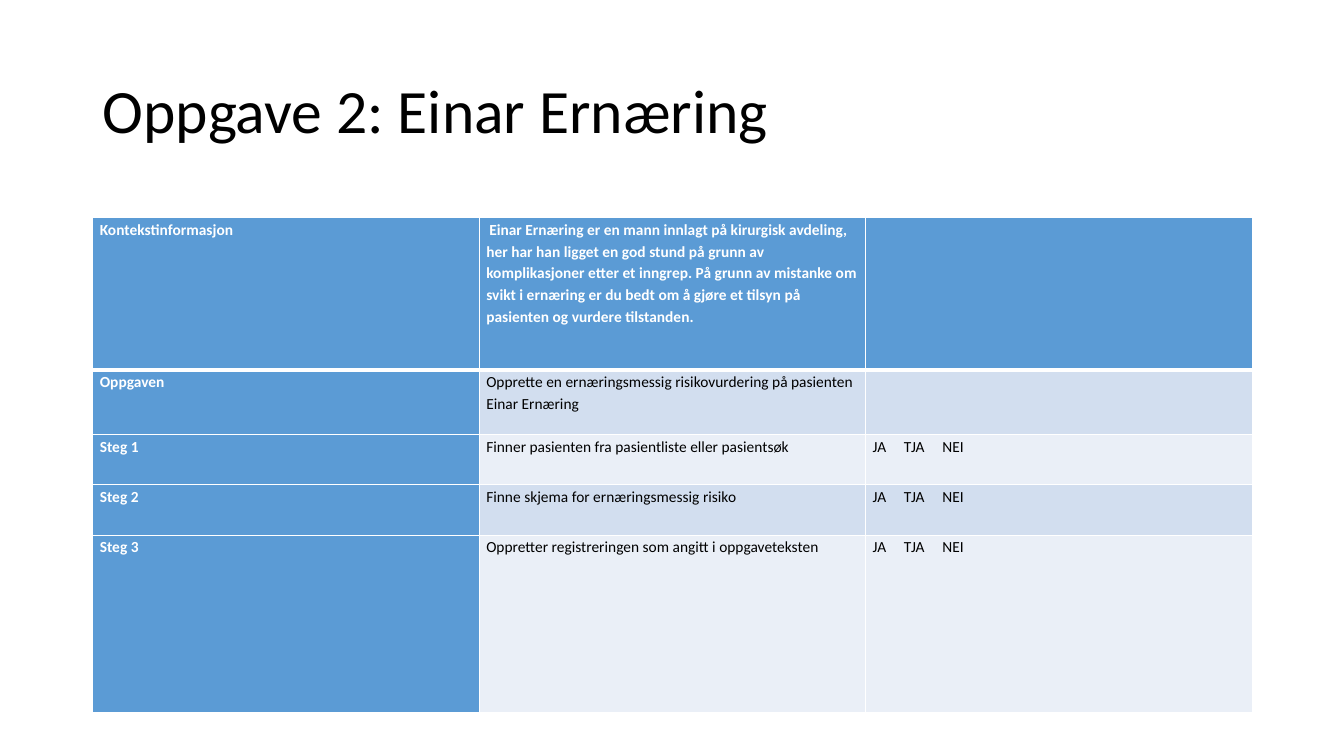
from dataclasses import dataclass

from lxml import etree
from pptx import Presentation
from pptx import util as u
from pptx.dml.color import RGBColor
from pptx.enum import text
from pptx.oxml import ns


@dataclass(frozen=True)
class Theme:
    font: str = "Calibri"
    title_size: int = 44
    body_size: int = 11
    line_spacing: float = 1.15
    black: str = "000000"
    white: str = "FFFFFF"
    accent: str = "5B9BD5"
    bands: tuple[str, str] = ("EAEFF7", "D2DEEF")
    thin: float = 1
    thick: float = 3


@dataclass(frozen=True)
class TaskRow:
    label: str
    description: str
    answers: str
    height: float
    first_indent: float = 0


THEME = Theme()
WIDTH, HEIGHT = 13.33, 7.5
MARGIN = 0.92
CONTENT_WIDTH = 11.5
COLUMNS = 3
TABLE_TOP = 2.16
CELL_INSET = 0.07
ANSWER_STOPS = (0.31, 0.69)
ANSWERS = "JA\tTJA\tNEI"

ROWS = (
    TaskRow(
        "Kontekstinformasjon",
        "Einar Ernæring er en mann innlagt på kirurgisk avdeling, her har han "
        "ligget en god stund på grunn av komplikasjoner etter et inngrep. På grunn "
        "av mistanke om svikt i ernæring er du bedt om å gjøre et tilsyn på "
        "pasienten og vurdere tilstanden.",
        "", 1.51, first_indent=0.03),
    TaskRow("Oppgaven",
            "Opprette en ernæringsmessig risikovurdering på pasienten Einar Ernæring",
            "", 0.64),
    TaskRow("Steg 1", "Finner pasienten fra pasientliste eller pasientsøk", ANSWERS, 0.5),
    TaskRow("Steg 2", "Finne skjema for ernæringsmessig risiko", ANSWERS, 0.5),
    TaskRow("Steg 3", "Oppretter registreringen som angitt i oppgaveteksten", ANSWERS, 1.76),
)


def style_text(para, size: float, color: str, bold: bool = False) -> None:
    for span in para.runs:
        span.font.name = THEME.font
        span.font.size = u.Pt(size)
        span.font.bold = bold
        span.font.color.rgb = RGBColor.from_string(color)


def set_borders(cell, top: float, bottom: float) -> None:
    """Put white lines around a cell, ahead of its fill in the XML."""
    properties = cell._tc.get_or_add_tcPr()
    widths = {"lnL": THEME.thin, "lnR": THEME.thin, "lnT": top, "lnB": bottom}
    for position, (side, width) in enumerate(widths.items()):
        line = etree.Element(ns.qn(f"a:{side}"), w=str(u.Pt(width)))
        fill = etree.SubElement(line, ns.qn("a:solidFill"))
        etree.SubElement(fill, ns.qn("a:srgbClr"), val=THEME.white)
        properties.insert(position, line)


def set_answer_stops(para) -> None:
    stops = etree.SubElement(para._p.get_or_add_pPr(), ns.qn("a:tabLst"))
    for stop in ANSWER_STOPS:
        etree.SubElement(stops, ns.qn("a:tab"), pos=str(u.Inches(stop)), algn="l")


def fill_cell(cell, content: str, row: int, column: int) -> None:
    heading = row == 0 or column == 0
    cell.fill.solid()
    cell.fill.fore_color.rgb = RGBColor.from_string(
        THEME.accent if heading else THEME.bands[row % 2])
    set_borders(cell,
                THEME.thick if row == 1 else THEME.thin,
                THEME.thick if row == 0 else THEME.thin)
    cell.margin_left = cell.margin_right = u.Inches(CELL_INSET)
    cell.margin_top = cell.margin_bottom = 0
    cell.text_frame.text = content
    para = cell.text_frame.paragraphs[0]
    para.line_spacing = THEME.line_spacing
    para.font.size = u.Pt(THEME.body_size)
    style_text(para, THEME.body_size, THEME.white if heading else THEME.black, heading)
    if content == ANSWERS:
        set_answer_stops(para)
    if column == 1 and ROWS[row].first_indent:
        para._p.get_or_add_pPr().set("indent", str(u.Inches(ROWS[row].first_indent)))


def add_title(page, content: str) -> None:
    box = page.shapes.add_textbox(u.Inches(MARGIN), u.Inches(0.4),
                                  u.Inches(CONTENT_WIDTH), u.Inches(1.45))
    frame = box.text_frame
    frame.word_wrap = True
    frame.vertical_anchor = text.MSO_ANCHOR.MIDDLE
    frame.text = content
    frame.paragraphs[0].line_spacing = 0.9
    style_text(frame.paragraphs[0], THEME.title_size, THEME.black)


def add_task_table(page) -> None:
    total_height = sum(row.height for row in ROWS)
    table = page.shapes.add_table(
        len(ROWS), COLUMNS, u.Inches(MARGIN), u.Inches(TABLE_TOP),
        u.Inches(CONTENT_WIDTH), u.Inches(total_height)).table
    for column in table.columns:
        column.width = u.Inches(CONTENT_WIDTH / COLUMNS)
    for r, row in enumerate(ROWS):
        table.rows[r].height = u.Inches(row.height)
        for c, content in enumerate((row.label, row.description, row.answers)):
            fill_cell(table.cell(r, c), content, r, c)


def main() -> None:
    # Deck and blank page
    deck = Presentation()
    deck.slide_width, deck.slide_height = u.Inches(WIDTH), u.Inches(HEIGHT)
    page = deck.slides.add_slide(deck.slide_layouts[6])

    # Title and task table
    add_title(page, "Oppgave 2: Einar Ernæring")
    add_task_table(page)
    deck.save("out.pptx")


if __name__ == "__main__":
    main()
